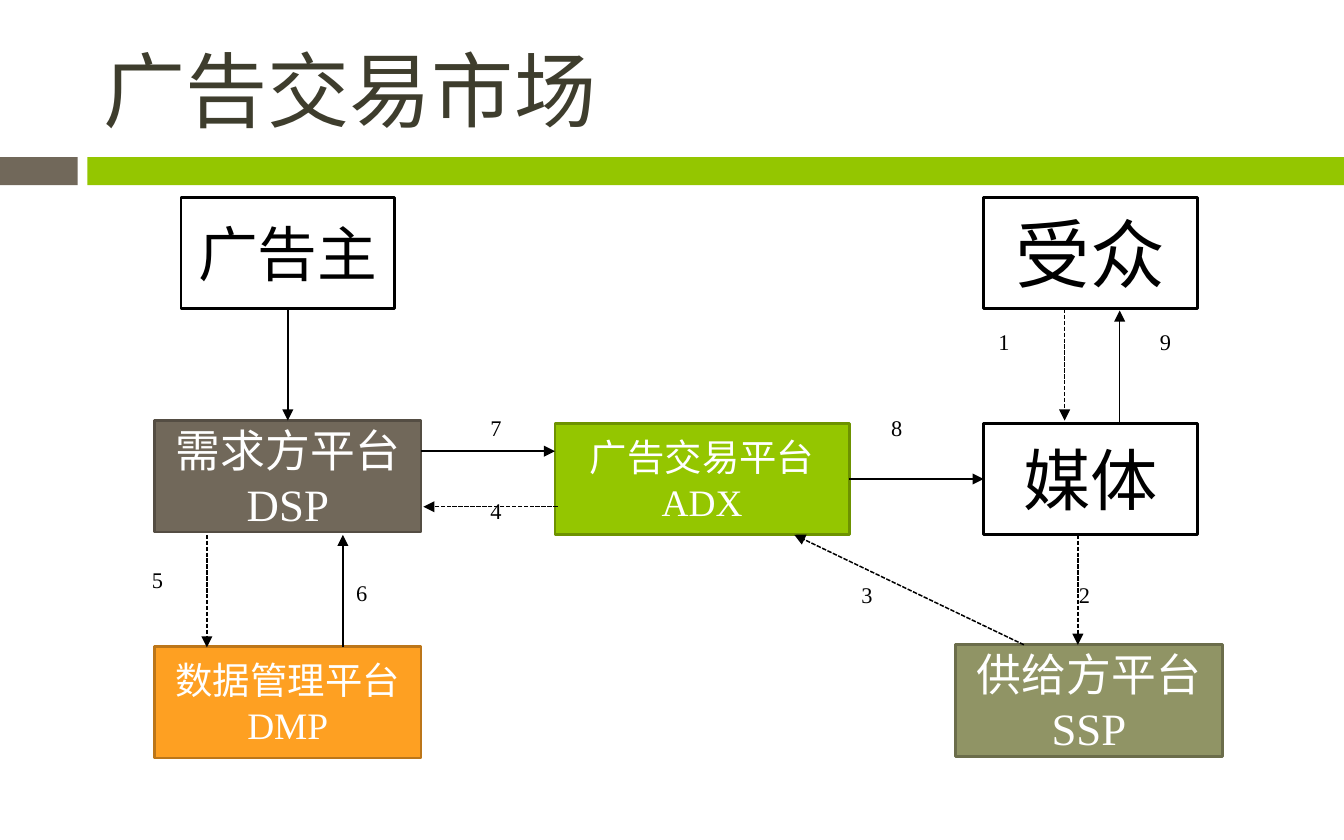
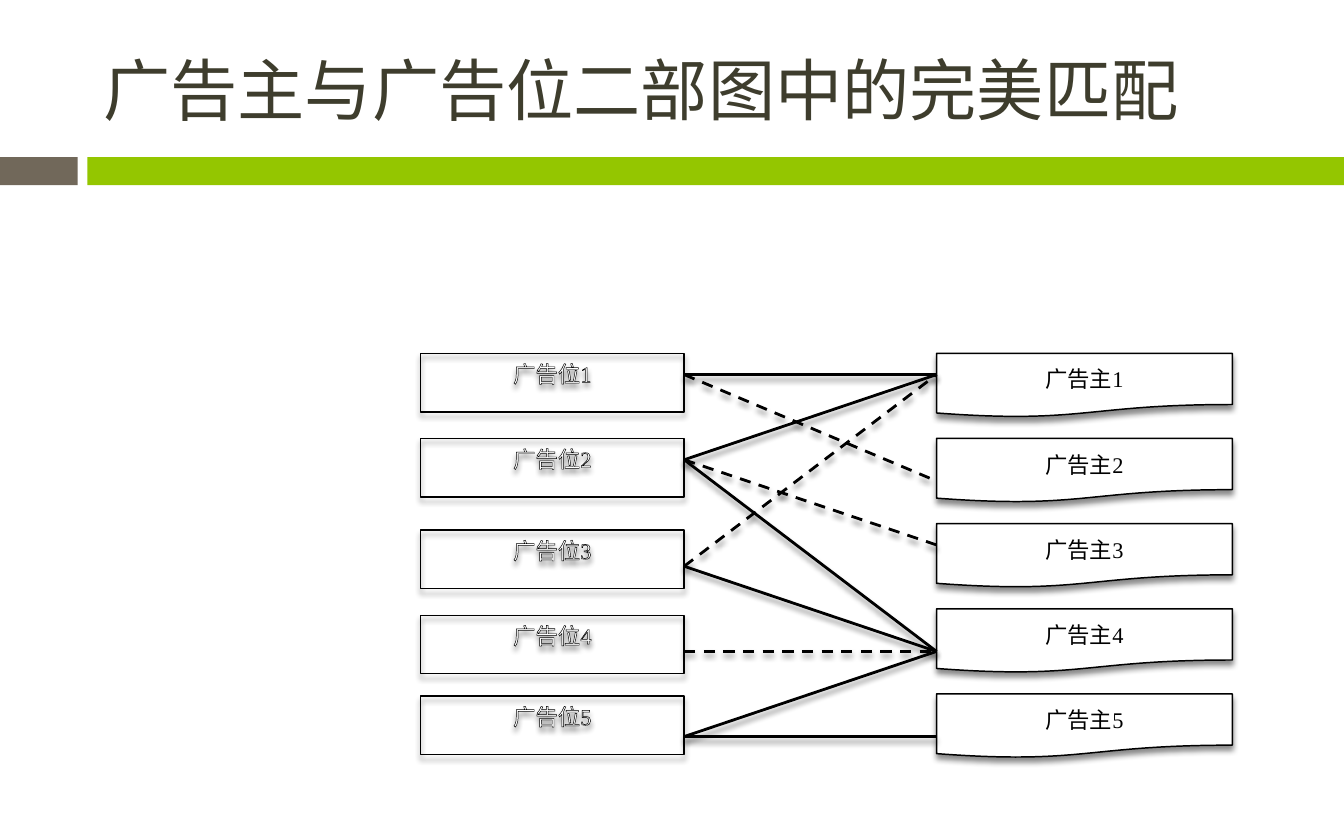
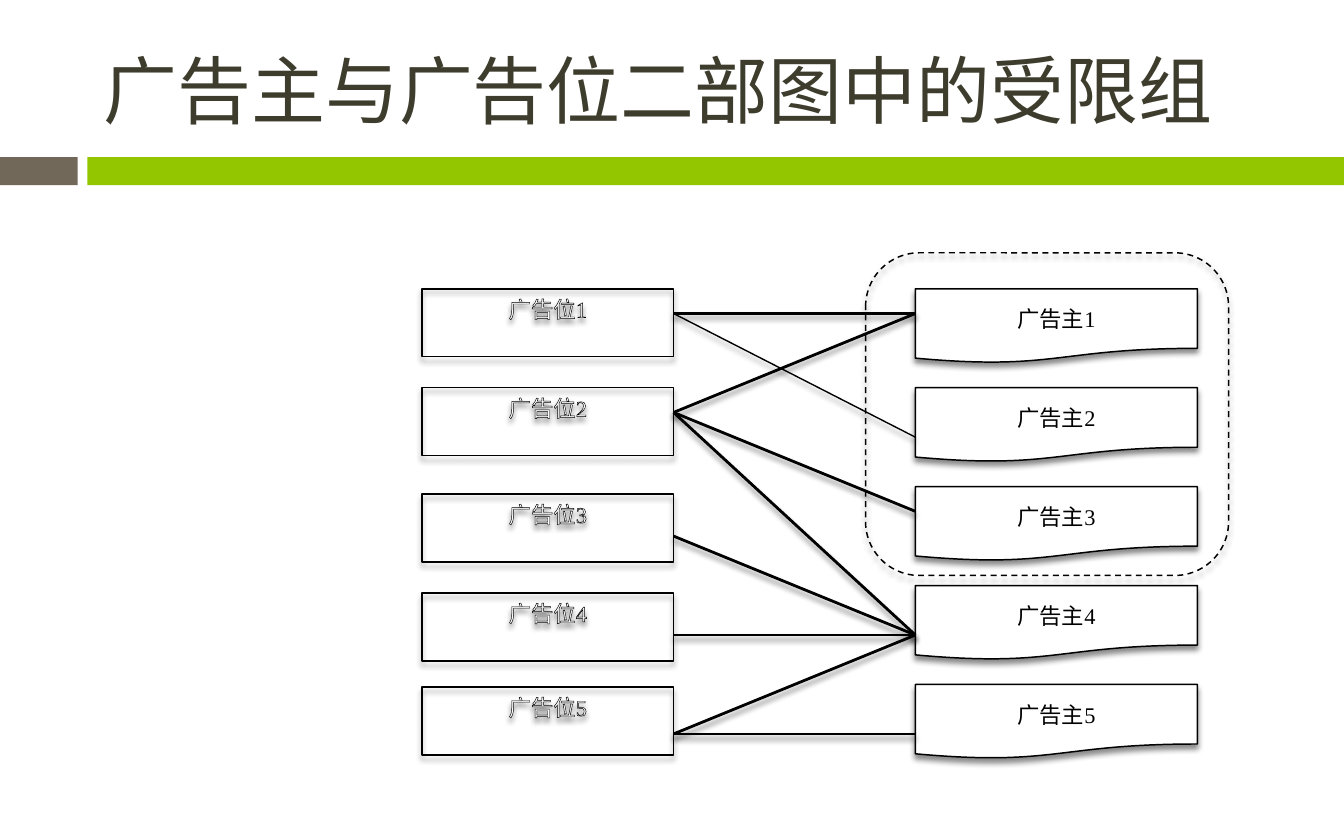
from lxml.etree import SubElement
from pptx import Presentation
from pptx.dml.color import RGBColor
from pptx.enum.dml import MSO_LINE
from pptx.enum.shapes import MSO_CONNECTOR, MSO_SHAPE
from pptx.enum.text import MSO_ANCHOR, MSO_AUTO_SIZE, PP_ALIGN
from pptx.oxml.ns import qn
from pptx.util import Cm, Pt

BLACK, WHITE = "000000", "FFFFFF"
BROWN, GREEN, ORANGE, OLIVE = "71685A", "94C600", "FEA022", "909465"
INK = "3E3D2D"
HEAD, BODY = "Roboto Condensed", "Times New Roman"
THIN, THICK = 0.79, 1.5
DOTS, DASH = MSO_LINE.SQUARE_DOT, MSO_LINE.DASH

# Rows of the graph, in quarters of the pitch between advertisers
SLOT_TOPS = (0, 4, 8.3, 12.3, 16.1)
SLOT_PORTS = (1, 5, 10, 14, 18)
AD_PORTS = (1, 6, 9, 14, 18)


def color(code):
    return RGBColor.from_string(code)


def write(para, text, size, ink, font=BODY):
    run = para.add_run()
    run.text = text
    run.font.size = Pt(size)
    run.font.name = font
    run.font.color.rgb = color(ink)
    return run


def trace(run):
    """Outline the letters of a run in black."""
    props = run._r.get_or_add_rPr()
    line = SubElement(props, qn("a:ln"), w=str(Pt(0.75)))
    fill = SubElement(line, qn("a:solidFill"))
    SubElement(fill, qn("a:srgbClr"), val=BLACK)
    props.insert(0, line)


def cast(effects):
    """Put a soft shadow straight below into an effect list."""
    outer = SubElement(effects, qn("a:outerShdw"), blurRad=str(Pt(3)),
                       dist=str(Pt(2.4)), dir="5400000", rotWithShape="0")
    tint = SubElement(outer, qn("a:srgbClr"), val=BLACK)
    SubElement(tint, qn("a:alpha"), val="45000")


def add_box(slide, kind, place, fill=None, edge=None, width=THIN, shadow=False):
    box = slide.shapes.add_shape(kind, *map(Cm, place))
    box.shadow.inherit = False
    if fill:
        box.fill.solid()
        box.fill.fore_color.rgb = color(fill)
    else:
        box.fill.background()
    if edge:
        box.line.color.rgb = color(edge)
        box.line.width = Pt(width)
    else:
        box.line.fill.background()
    if shadow:
        cast(box.element.spPr.find(qn("a:effectLst")))
    return box


def label(box, lines, size, ink, anchor=MSO_ANCHOR.MIDDLE):
    """Centre the lines in the box and return their runs."""
    frame = box.text_frame
    frame.word_wrap = True
    frame.vertical_anchor = anchor
    runs = []
    for i, line in enumerate(lines):
        para = frame.add_paragraph() if i else frame.paragraphs[0]
        para.alignment = PP_ALIGN.CENTER
        runs.append(write(para, line, size, ink))
    return runs


def add_line(slide, start, end, width=THIN, dash=None, arrow=False, shadow=False):
    line = slide.shapes.add_connector(MSO_CONNECTOR.STRAIGHT,
                                      *map(Cm, (*start, *end)))
    line.line.color.rgb = color(BLACK)
    line.line.width = Pt(width)
    if dash:
        line.line.dash_style = dash
    props = line.element.spPr
    if arrow:
        SubElement(props.find(qn("a:ln")), qn("a:tailEnd"), type="triangle")
    effects = SubElement(props, qn("a:effectLst"))
    if shadow:
        cast(effects)
    return line


def join(slide, first, side, last, port):
    line = add_line(slide, (0, 0), (1, 1), arrow=True)
    line.begin_connect(first, side)
    line.end_connect(last, port)


def add_mark(slide, text, x, y):
    """Add the number of a step."""
    box = slide.shapes.add_textbox(Cm(x), Cm(y), Cm(1.02), Cm(1.07))
    box.text_frame.word_wrap = True
    para = box.text_frame.paragraphs[0]
    para.alignment = PP_ALIGN.JUSTIFY
    write(para, text, 12, BLACK)


def add_slide(deck, text, size):
    slide = deck.slides.add_slide(deck.slide_layouts[5])
    title = slide.shapes.title
    title.left, title.top = Cm(1.7), Cm(0.53)
    title.width, title.height = Cm(22.66), Cm(2.29)
    frame = title.text_frame
    frame.word_wrap = True
    frame.auto_size = MSO_AUTO_SIZE.NONE
    frame.vertical_anchor = MSO_ANCHOR.MIDDLE
    para = frame.paragraphs[0]
    para.alignment = PP_ALIGN.LEFT
    write(para, text, size, INK, HEAD)
    return slide


def add_bands(slide):
    """Draw the two bands and hand them to the layout of the slide."""
    tree = slide.slide_layout.shapes.element
    for x, width, fill in ((0, 1.47, BROWN), (1.65, 23.75, GREEN)):
        band = add_box(slide, MSO_SHAPE.RECTANGLE, (x, 2.97, width, 0.53), fill)
        tree.append(band.element)


def draw_market(slide):
    nodes = {}
    for lines, size, x, y, width, fill, edge in (
        (["广告主"], 32, 3.42, 3.73, 4.04, WHITE, BLACK),
        (["需求方平台", "DSP"], 24, 2.92, 7.95, 5.04, BROWN, "544D43"),
        (["广告交易平台", "ADX"], 20, 10.49, 8, 5.56, GREEN, "6D9200"),
        (["媒体"], 36, 18.59, 8, 4.04, WHITE, BLACK),
        (["受众"], 40, 18.59, 3.73, 4.04, WHITE, BLACK),
        (["数据管理平台", "DMP"], 20, 2.92, 12.22, 5.04, ORANGE, "BC7619"),
        (["供给方平台", "SSP"], 24, 18.06, 12.19, 5.04, OLIVE, "6B6D4B"),
    ):
        box = add_box(slide, MSO_SHAPE.RECTANGLE, (x, y, width, 2.11),
                      fill, edge, THICK)
        label(box, lines, size, BLACK if fill == WHITE else WHITE)
        nodes[lines[-1]] = box

    join(slide, nodes["广告主"], 2, nodes["DSP"], 0)
    join(slide, nodes["ADX"], 3, nodes["媒体"], 1)
    for start, end, dash in (
        ((20.12, 5.84), (20.12, 7.95), DOTS),
        ((20.37, 10.11), (20.37, 12.19), DOTS),
        ((19.35, 12.19), (15.01, 10.11), DOTS),
        ((10.54, 9.58), (8, 9.58), DOTS),
        ((3.91, 10.11), (3.91, 12.24), DOTS),
        ((6.48, 12.24), (6.48, 10.11), None),
        ((7.95, 8.53), (10.49, 8.53), None),
        ((21.16, 8), (21.16, 5.87), None),
    ):
        add_line(slide, start, end, dash=dash, arrow=True)

    spots = ((18.62, 6.07), (20.14, 10.87), (16.03, 10.87), (9.02, 9.27),
             (2.62, 10.57), (6.48, 10.82), (9.02, 7.7), (16.59, 7.7),
             (21.67, 6.07))
    for step, spot in enumerate(spots, 1):
        add_mark(slide, str(step), *spot)


def draw_graph(slide, top, pitch, slot, ad, edges):
    """Draw slots, advertisers and edges; slot and ad are (left, width)."""
    unit = pitch / 4
    for i, row in enumerate(SLOT_TOPS):
        place = (slot[0], top + row * unit, slot[1], 2.75 * unit)
        box = add_box(slide, MSO_SHAPE.RECTANGLE, place, edge=BLACK, shadow=True)
        for run in label(box, [f"广告位{i + 1}"], 12, WHITE, MSO_ANCHOR.TOP):
            trace(run)

        place = (ad[0], top + i * pitch, ad[1], 3 * unit)
        box = add_box(slide, MSO_SHAPE.FLOWCHART_DOCUMENT, place, WHITE, BLACK,
                      shadow=True)
        label(box, [f"广告主{i + 1}"], 12, BLACK)

    for near, far, width, dash in edges:
        start = (sum(slot), top + SLOT_PORTS[near - 1] * unit)
        end = (ad[0], top + AD_PORTS[far - 1] * unit)
        add_line(slide, start, end, width, dash, shadow=True)


def main():
    deck = Presentation()
    deck.slide_width, deck.slide_height = Cm(25.4), Cm(15.88)

    market = add_slide(deck, "广告交易市场", 44)
    add_bands(market)
    draw_market(market)

    pairs = ((1, 1), (1, 2), (2, 1), (2, 3), (2, 4), (3, 4), (4, 4), (5, 4), (5, 5))

    match = add_slide(deck, "广告主与广告位二部图中的完美匹配", 36)
    dashed = {(1, 2), (2, 3), (3, 1), (4, 4)}
    edges = [(*pair, THICK, DASH if pair in dashed else None)
             for pair in (*pairs, (3, 1))]
    draw_graph(match, 6.68, 1.61, (7.95, 4.98), (17.7, 5.59), edges)

    limit = add_slide(deck, "广告主与广告位二部图中的受限组", 39.6)
    edges = [(*pair, 0.75 if pair == (1, 2) else THICK, None) for pair in pairs]
    draw_graph(limit, 5.46, 1.87, (7.98, 4.75), (17.3, 5.33), edges)
    group = add_box(limit, MSO_SHAPE.ROUNDED_RECTANGLE, (16.36, 4.78, 6.86, 6.1),
                    edge=BLACK, shadow=True)
    group.line.dash_style = DASH

    deck.save("out.pptx")


if __name__ == "__main__":
    main()
